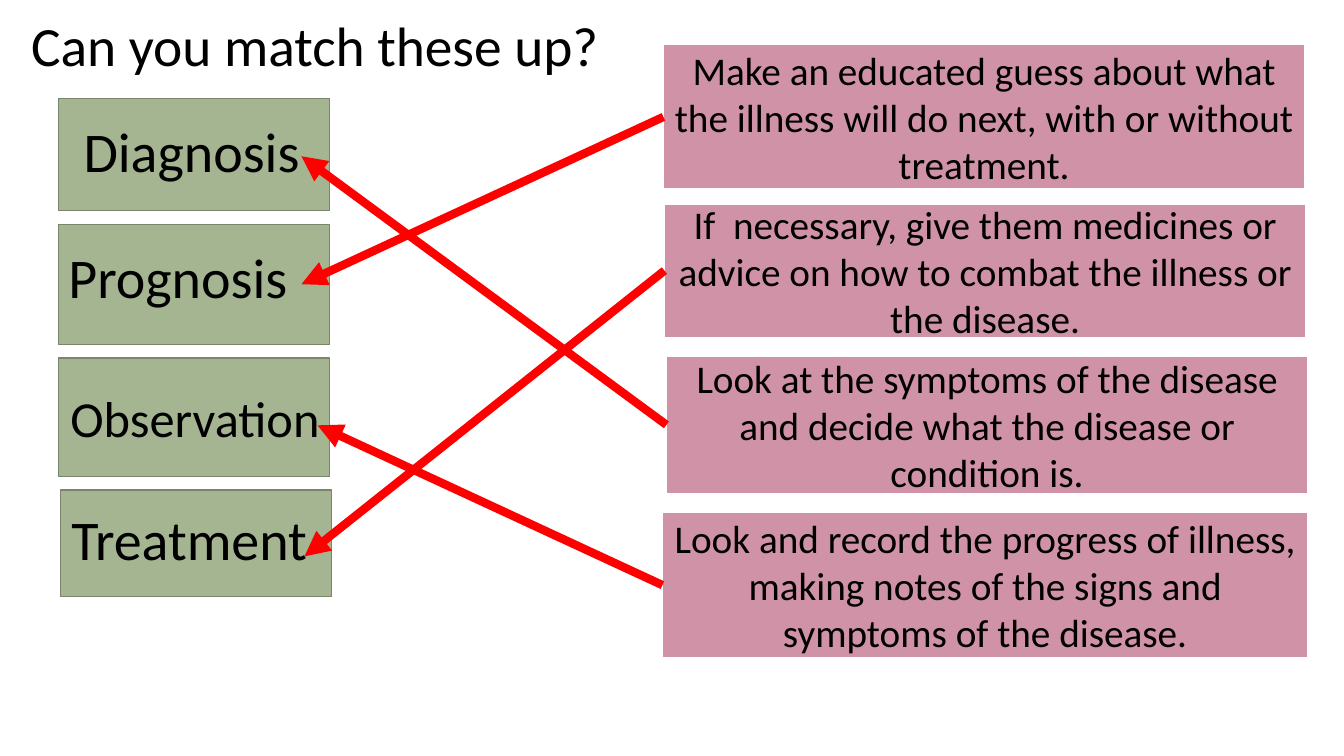
from pptx import Presentation
from pptx.dml.color import RGBColor
from pptx.enum.shapes import MSO_CONNECTOR as Connector, MSO_SHAPE as Shape
from pptx.enum.text import MSO_ANCHOR as Anchor, PP_ALIGN as Align
from pptx.oxml.ns import qn
from pptx.util import Inches, Pt
from lxml import etree

COLOURS = {
    "text": "000000",
    "term": "A5B592",
    "term edge": "7A866C",
    "definition": "D092A7",
    "definition edge": "FFFFFF",
    "arrow": "FF0000",
}
FONT = "Calibri"
SLIDE_SIZE = (13.33, 7.5)
TITLE = "Can you match these up?"
TITLE_BOX = (0.21, 0.16, 6.16, 0.64)

# Term: box left, top, height; label left, top, width, size; arrow tip
TERM_WIDTH = 2.69
TERMS = {
    "Diagnosis": ((0.58, 0.98, 1.11), (0.73, 1.11, 2.69, 40), (2.99, 1.55)),
    "Prognosis": ((0.58, 2.23, 1.19), (0.58, 2.36, 2.73, 40), (2.99, 2.82)),
    "Observation": ((0.58, 3.55, 1.18), (0.6, 3.79, 2.69, 36), (3.15, 4.22)),
    "Treatment": ((0.6, 4.86, 1.06), (0.61, 4.96, 2.93, 40), (3.02, 5.52)),
}

# Matching term, definition, box
DEFINITIONS = [
    ("Prognosis",
     "Make an educated guess about what the illness will do next, with or without treatment.",
     (6.58, 0.44, 6.36, 1.44)),
    ("Treatment",
     "If  necessary, give them medicines or advice on how to combat the illness or the disease.",
     (6.59, 2.02, 6.36, 1.33)),
    ("Diagnosis",
     "Look at the symptoms of the disease and decide what the disease or condition is.",
     (6.61, 3.53, 6.36, 1.37)),
    ("Observation",
     "Look and record the progress of illness, making notes of the signs and symptoms of the disease.",
     (6.57, 5.08, 6.4, 1.45)),
]


def colour(name):
    return RGBColor.from_string(COLOURS[name])


def inches(lengths):
    return [Inches(length) for length in lengths]


def write(shape, text, size, align=Align.LEFT, anchor=Anchor.TOP, spacing=1.0):
    frame = shape.text_frame
    frame.word_wrap = True
    frame.vertical_anchor = anchor
    paragraph = frame.paragraphs[0]
    paragraph.alignment = align
    paragraph.line_spacing = spacing
    run = paragraph.add_run()
    run.text = text
    run.font.name = FONT
    run.font.size = Pt(size)
    run.font.color.rgb = colour("text")


def add_box(slide, box, kind, line_width):
    shape = slide.shapes.add_shape(Shape.RECTANGLE, *inches(box))
    shape.shadow.inherit = False
    shape.fill.solid()
    shape.fill.fore_color.rgb = colour(kind)
    shape.line.color.rgb = colour(kind + " edge")
    shape.line.width = Pt(line_width)
    return shape


def add_arrow(slide, start, tip):
    arrow = slide.shapes.add_connector(Connector.STRAIGHT, *inches(start + tip))
    arrow.line.color.rgb = colour("arrow")
    arrow.line.width = Pt(6)
    etree.SubElement(arrow.line._get_or_add_ln(), qn("a:tailEnd"), type="triangle")
    etree.SubElement(arrow._element.spPr, qn("a:effectLst"))


def main():
    presentation = Presentation()
    presentation.slide_width, presentation.slide_height = inches(SLIDE_SIZE)
    slide = presentation.slides.add_slide(presentation.slide_layouts[6])

    title = slide.shapes.add_textbox(*inches(TITLE_BOX))
    write(title, TITLE, 39.6, anchor=Anchor.MIDDLE, spacing=0.9)

    for term, ((left, top, height), label_place, _) in TERMS.items():
        add_box(slide, (left, top, TERM_WIDTH, height), "term", 1)
        label_left, label_top, label_width, size = label_place
        label_box = (label_left, label_top, label_width, 0.77 * size / 40)
        write(slide.shapes.add_textbox(*inches(label_box)), term, size)

    for _, definition, box in DEFINITIONS:
        shape = add_box(slide, box, "definition", 1.5)
        write(shape, definition, 28, align=Align.CENTER, anchor=Anchor.MIDDLE)

    for term, _, (left, top, _, height) in DEFINITIONS:
        tip = TERMS[term][2]
        add_arrow(slide, (left, top + height / 2), tip)

    presentation.save("out.pptx")


if __name__ == "__main__":
    main()
